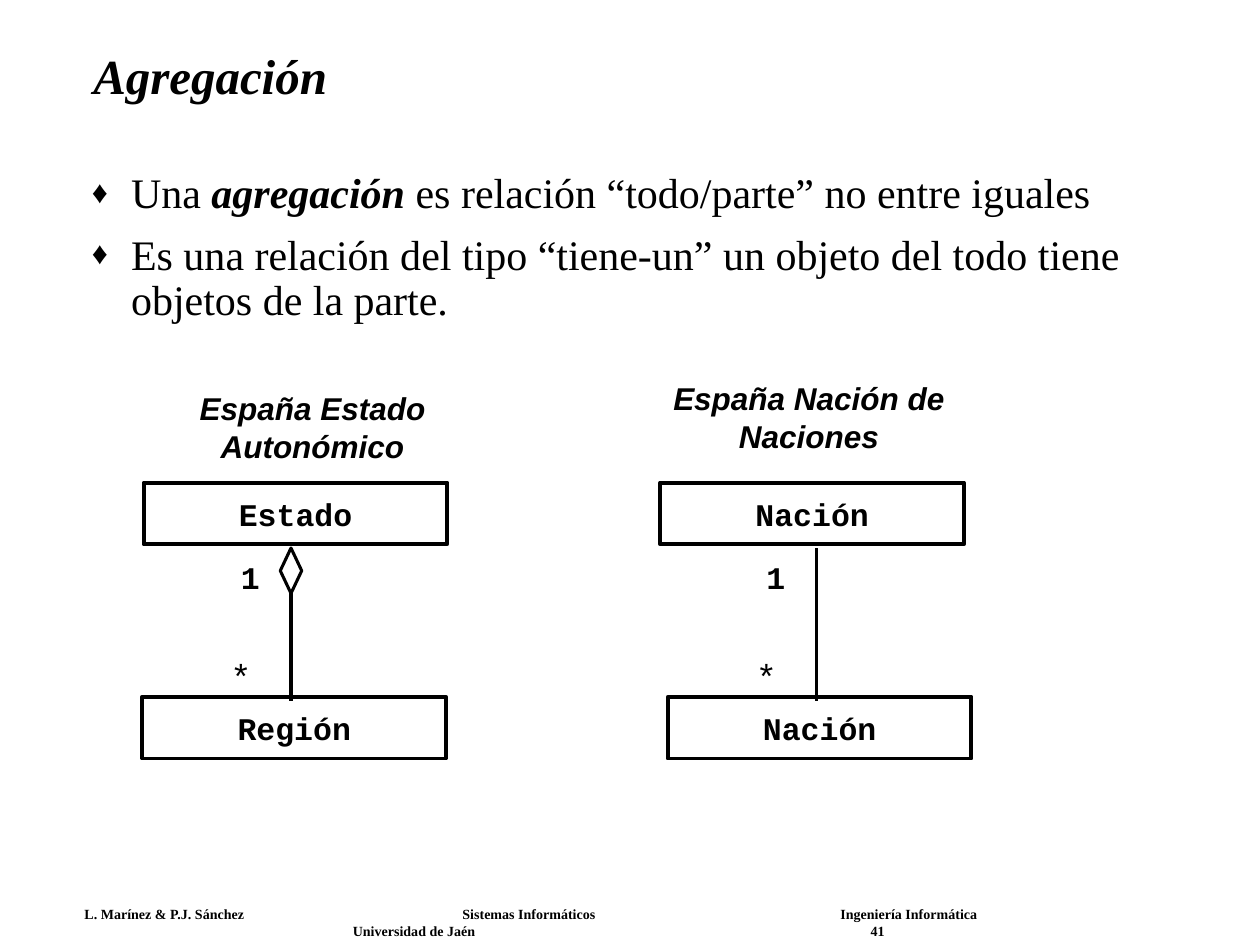
from lxml.etree import SubElement
from pptx import Presentation
from pptx.dml.color import RGBColor
from pptx.enum.shapes import MSO_CONNECTOR, MSO_SHAPE
from pptx.enum.text import MSO_ANCHOR, MSO_AUTO_SIZE, PP_ALIGN
from pptx.oxml.ns import qn
from pptx.util import Inches, Pt

COLORS = {"ink": "000000", "paper": "FFFFFF"}
SERIF, SANS, MONO = "Times New Roman", "Arial", "Courier New"

TITLE = "Agregación"
BULLETS = [
    [("Una ", False), ("agregación", True),
     (" es relación “todo/parte” no entre iguales", False)],
    [("Es una relación del tipo “tiene-un” un objeto del todo tiene "
      "objetos de la parte.", False)],
]
DIAGRAMS = [
    {"left": 1.13, "caption": "España Estado Autonómico", "caption_at": (1.22, 3.04),
     "whole": "Estado", "whole_left": 1.14, "part": "Región", "diamond": True},
    {"left": 5.3, "caption": "España Nación de Naciones", "caption_at": (5.16, 2.96),
     "whole": "Nación", "whole_left": 5.24, "part": "Nación", "diamond": False},
]
FOOTER = [
    ("L. Marínez & P.J. Sánchez\tSistemas Informáticos\tIngeniería Informática", (3, 6)),
    ("\tUniversidad de Jaén\t41", (2.13, 6.24)),
]

WHOLE_TOP, PART_TOP = 3.83, 5.53
CLASS_SIZE = (2.41, 0.49)
LINK_SHIFT, LINK_TOP, LINK_BOTTOM = 1.18, 4.35, 5.56
DIAMOND_SIZE = (0.17, 0.36)


def rgb(name):
    return RGBColor.from_string(COLORS[name])


def style(font, size, name, bold=False, italic=False):
    font.size, font.name, font.bold, font.italic = Pt(size), name, bold, italic
    font.color.rgb = rgb("ink")


def place(shape, left, top, width, height):
    shape.left, shape.top = Inches(left), Inches(top)
    shape.width, shape.height = Inches(width), Inches(height)


def add_label(page, text, at, size, name, align=PP_ALIGN.LEFT, bold=False, italic=False):
    box = page.shapes.add_textbox(*map(Inches, at))
    box.text_frame.word_wrap = True
    para = box.text_frame.paragraphs[0]
    para.text, para.alignment = text, align
    style(para.runs[0].font, size, name, bold, italic)


def add_outline(page, kind, at, weight):
    shape = page.shapes.add_shape(kind, *map(Inches, at))
    shape.shadow.inherit = False
    shape.line.color.rgb = rgb("ink")
    shape.line.width = Pt(weight)
    return shape


def add_class(page, name, left, top):
    shape = add_outline(page, MSO_SHAPE.RECTANGLE, (left, top, *CLASS_SIZE), 2.25)
    shape.fill.background()
    frame = shape.text_frame
    frame.text = name
    frame.vertical_anchor = MSO_ANCHOR.MIDDLE
    frame.paragraphs[0].alignment = PP_ALIGN.CENTER
    style(frame.paragraphs[0].runs[0].font, 18, MONO, bold=True)


def add_link(page, x):
    link = page.shapes.add_connector(
        MSO_CONNECTOR.STRAIGHT, Inches(x), Inches(LINK_BOTTOM), Inches(x), Inches(LINK_TOP))
    link.line.color.rgb = rgb("ink")
    link.line.width = Pt(2.25)
    SubElement(link._element.spPr, qn("a:effectLst"))


def add_bullet(para):
    props = para._p.get_or_add_pPr()
    props.set("marL", str(Inches(0.31)))
    props.set("indent", str(-Inches(0.31)))
    color = SubElement(props, qn("a:buClr"))
    SubElement(color, qn("a:srgbClr"), val=COLORS["ink"])
    SubElement(props, qn("a:buSzPct"), val="75000")
    SubElement(props, qn("a:buFont"), typeface=SERIF)
    SubElement(props, qn("a:buChar"), char="♦")


def add_tabs(para, stops):
    tabs = SubElement(para._p.get_or_add_pPr(), qn("a:tabLst"))
    for stop in stops:
        SubElement(tabs, qn("a:tab"), pos=str(Inches(stop)), algn="l")


def fill_title(title):
    place(title, 0.64, 0.28, 8.68, 0.68)
    frame = title.text_frame
    frame.text = TITLE
    frame.auto_size = MSO_AUTO_SIZE.NONE
    frame.vertical_anchor = MSO_ANCHOR.MIDDLE
    para = frame.paragraphs[0]
    para.alignment, para.line_spacing = PP_ALIGN.LEFT, 0.9
    style(para.runs[0].font, 28, SERIF, bold=True, italic=True)


def fill_body(body):
    place(body, 0.63, 1.32, 9.03, 2.04)
    frame = body.text_frame
    frame.auto_size = MSO_AUTO_SIZE.NONE
    for index, pieces in enumerate(BULLETS):
        para = frame.add_paragraph() if index else frame.paragraphs[0]
        add_bullet(para)
        para.line_spacing = 0.9
        para.space_before = Pt(9 if index else 0)
        for text, strong in pieces:
            span = para.add_run()
            span.text = text
            style(span.font, 24, SERIF, strong, strong)


def add_diagram(page, diagram):
    left = diagram["left"]
    link_x = left + LINK_SHIFT
    add_label(page, "*", (left + 0.63, 5.14, 0.42, 0.43), 20, SANS)
    add_class(page, diagram["whole"], diagram["whole_left"], WHOLE_TOP)
    add_class(page, diagram["part"], left, PART_TOP)
    add_link(page, link_x)
    if diagram["diamond"]:
        width, height = DIAMOND_SIZE
        diamond = add_outline(
            page, MSO_SHAPE.DIAMOND, (link_x - width / 2, LINK_TOP, width, height), 1.75)
        diamond.fill.solid()
        diamond.fill.fore_color.rgb = rgb("paper")
    add_label(page, "1", (left + 0.01, 4.38, 1.02, 0.4), 18, MONO, PP_ALIGN.RIGHT, bold=True)
    add_label(page, diagram["caption"], (*diagram["caption_at"], 2.52, 0.7), 18, SANS,
              PP_ALIGN.CENTER, bold=True, italic=True)


def add_footer(page):
    box = page.shapes.add_textbox(*map(Inches, (0.59, 7.15, 8.65, 0.21)))
    frame = box.text_frame
    frame.word_wrap = True
    frame.margin_left = frame.margin_right = Inches(0.08)
    frame.margin_top = frame.margin_bottom = Inches(0.04)
    for index, (text, stops) in enumerate(FOOTER):
        para = frame.add_paragraph() if index else frame.paragraphs[0]
        add_tabs(para, stops)
        para.text = text
        style(para.runs[0].font, 8, SERIF, bold=True)


def main():
    deck = Presentation()
    deck.slide_width, deck.slide_height = Inches(10), Inches(7.5)
    page = deck.slides.add_slide(deck.slide_layouts[1])
    page.background.fill.solid()
    page.background.fill.fore_color.rgb = rgb("paper")
    fill_title(page.shapes.title)
    fill_body(page.placeholders[1])
    for diagram in DIAGRAMS:
        add_diagram(page, diagram)
    add_footer(page)
    deck.save("out.pptx")


if __name__ == "__main__":
    main()
